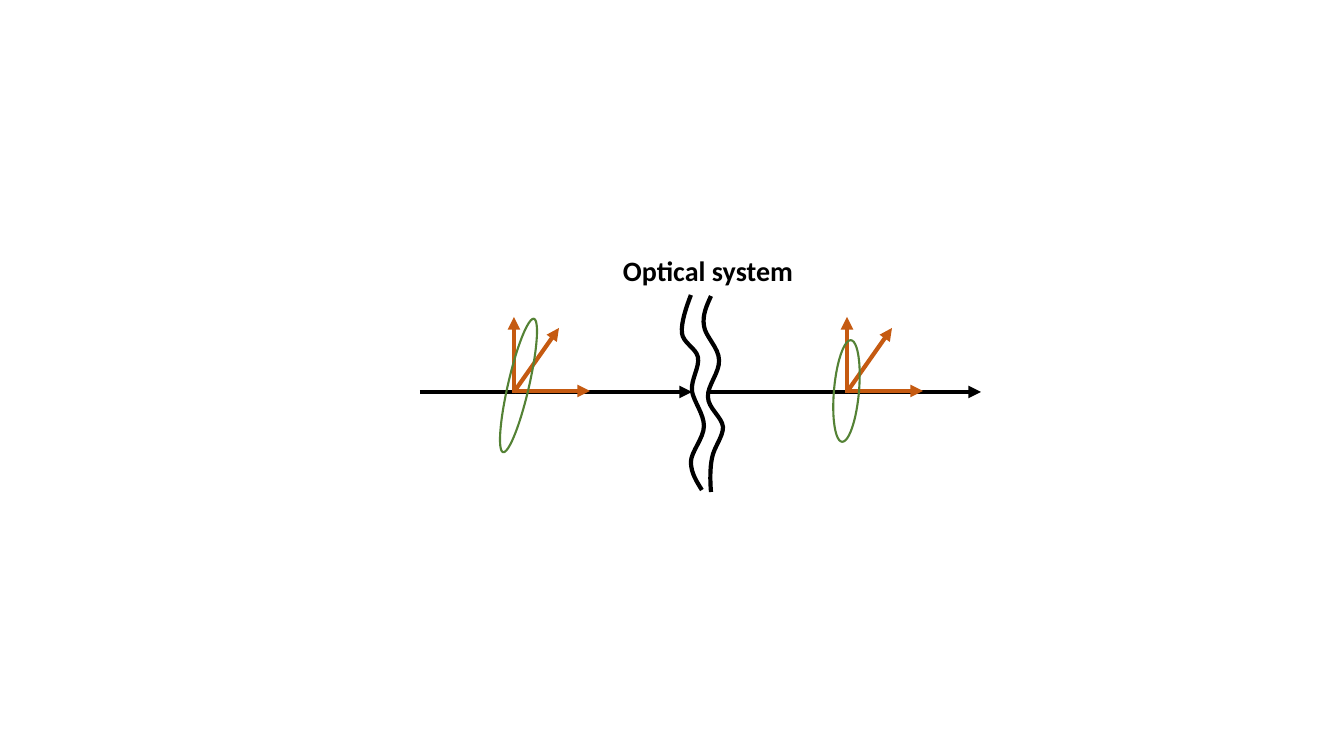
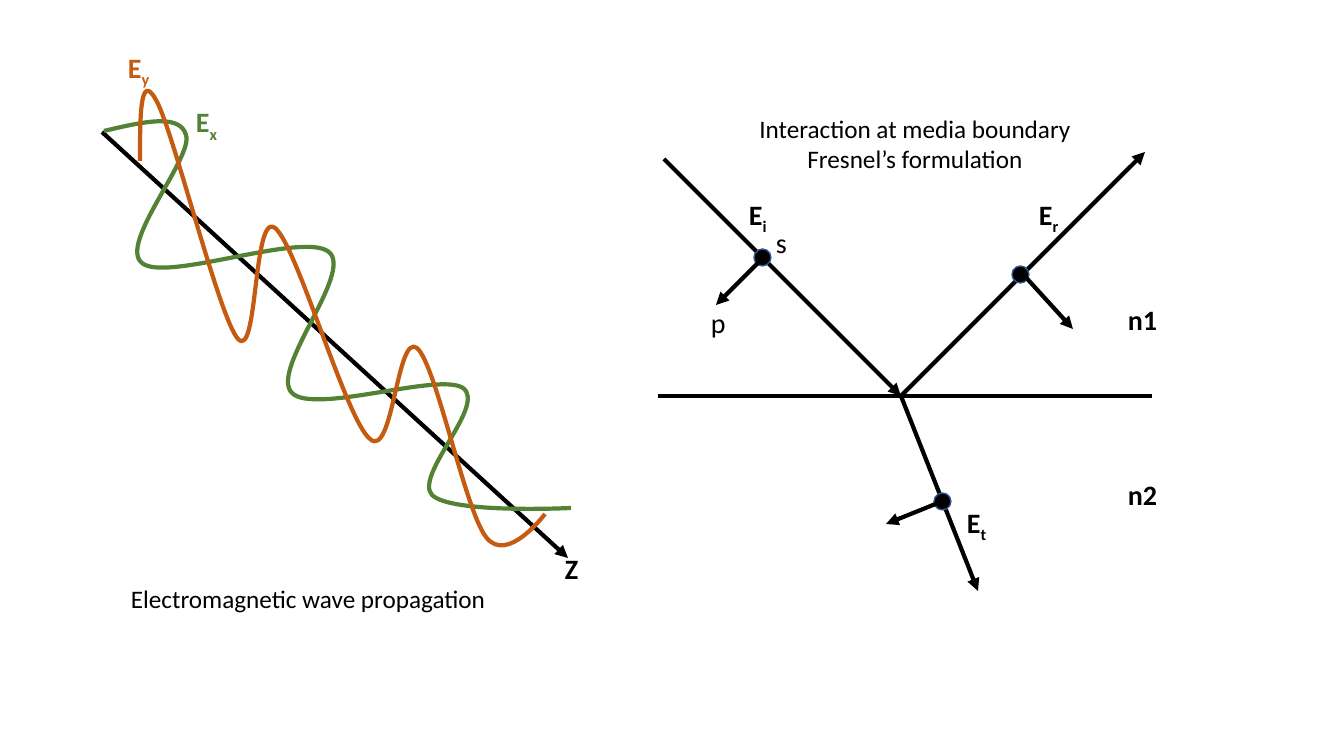
"""Build two optics slides: polarised light through a system, and waves at a boundary."""
from dataclasses import dataclass

from lxml.etree import SubElement
from pptx import Presentation
from pptx.dml.color import RGBColor
from pptx.enum.shapes import MSO_CONNECTOR as Connector, MSO_SHAPE as Shape
from pptx.enum.text import MSO_AUTO_SIZE as AutoSize, PP_ALIGN as Align
from pptx.oxml.ns import qn
from pptx.util import Emu, Pt


@dataclass(frozen=True)
class Theme:
    font: str = "Calibri"
    black: RGBColor = RGBColor(0x00, 0x00, 0x00)
    orange: RGBColor = RGBColor(0xC5, 0x5A, 0x11)
    green: RGBColor = RGBColor(0x54, 0x82, 0x35)
    dot_edge: RGBColor = RGBColor(0x32, 0x54, 0x91)
    label: int = 20
    caption: int = 18
    stroke: float = 3
    thin: float = 1.5
    hairline: float = 1


THEME = Theme()
PX = 12192000 / 1344


def px(*lengths):
    return [Emu(round(length * PX)) for length in lengths]


def draw_line(shapes, ends, colour=THEME.black, arrow=True):
    connector = shapes.add_connector(Connector.STRAIGHT, *px(*ends))
    connector.line.color.rgb = colour
    connector.line.width = Pt(THEME.stroke)
    properties = connector.element.spPr
    if arrow:
        SubElement(properties.find(qn("a:ln")), qn("a:tailEnd"), type="triangle")
    SubElement(properties, qn("a:effectLst"))


presentation = Presentation()
presentation.slide_width, presentation.slide_height = px(1344, 756)
blank = presentation.slide_layouts[6]
system_slide = presentation.slides.add_slide(blank)
wave_slide = presentation.slides.add_slide(blank)

for ends, arrow in [
    ((658, 396, 1152, 396), False),
    ((664, 159, 901, 396), True),
    ((901, 396, 1145, 152), True),
    ((901, 396, 978, 591), True),
    ((102, 132, 568, 558), True),
]:
    draw_line(wave_slide.shapes, ends, arrow=arrow)

left_break = [
    (691, 295),
    (686, 308), (681, 323), (682, 333),
    (683, 343), (696, 348), (698, 357),
    (700, 367), (691, 379), (692, 391),
    (694, 402), (704, 414), (704, 426),
    (704, 438), (691, 452), (691, 462),
    (691, 473), (697, 482), (702, 490),
]
right_break = [
    (711, 296),
    (707, 305), (702, 315), (704, 326),
    (705, 336), (719, 348), (719, 360),
    (720, 372), (707, 386), (708, 397),
    (708, 408), (722, 417), (723, 427),
    (723, 437), (714, 447), (712, 458),
    (710, 468), (710, 480), (711, 492),
]
x_wave = [
    (104, 131),
    (142, 122), (180, 113), (186, 135),
    (194, 157), (118, 244), (142, 263),
    (165, 283), (303, 231), (329, 252),
    (354, 273), (269, 370), (292, 393),
    (314, 415), (439, 372), (463, 388),
    (487, 405), (414, 475), (432, 495),
    (451, 514), (571, 508), (571, 508),
]
y_wave = [
    (140, 161),
    (140, 116), (140, 71), (156, 100),
    (173, 129), (219, 318), (238, 339),
    (258, 361), (253, 211), (275, 228),
    (297, 245), (346, 420), (370, 439),
    (393, 460), (397, 332), (417, 348),
    (436, 364), (465, 510), (486, 537),
    (507, 565), (545, 514), (545, 514),
]
for slide, points, colour in [
    (system_slide, left_break, THEME.black),
    (system_slide, right_break, THEME.black),
    (wave_slide, x_wave, THEME.green),
    (wave_slide, y_wave, THEME.orange),
]:
    anchors = points[::3]
    left = min(x for x, y in anchors)
    top = min(y for x, y in anchors)
    builder = slide.shapes.build_freeform(*anchors[0], scale=PX)
    builder.add_line_segments(anchors[1:], close=False)
    curve = builder.convert_to_shape()
    curve.shadow.inherit = False
    curve.fill.background()
    curve.line.color.rgb = colour
    curve.line.width = Pt(THEME.stroke)
    for index, segment in enumerate(curve.element.xpath(".//a:lnTo")):
        segment.tag = qn("a:cubicBezTo")
        segment.clear()
        for x, y in points[3 * index + 1:3 * index + 4]:
            SubElement(segment, qn("a:pt"), x=str(x - left), y=str(y - top))

for start in (420, 709):
    draw_line(system_slide.shapes, (start, 392, start + 272, 392))

for origin in (514, 847):
    field_axes = system_slide.shapes.add_group_shape()
    for ends in [
        (origin - 2, 391, origin + 76, 391),
        (origin, 390, origin, 317),
        (origin, 392, origin + 45, 328),
    ]:
        draw_line(field_axes.shapes, ends, THEME.orange)

for box, angle in [((508, 317, 21, 137), 13), ((834, 340, 25, 102), 5)]:
    ellipse = system_slide.shapes.add_shape(Shape.OVAL, *px(*box))
    ellipse.rotation = angle
    ellipse.shadow.inherit = False
    ellipse.fill.background()
    ellipse.line.color.rgb = THEME.green
    ellipse.line.width = Pt(THEME.thin)

for left, top, ends in [
    (754, 249, (763, 258, 716, 305)),
    (1012, 266, (1021, 272, 1073, 329)),
    (934, 493, (943, 501, 886, 524)),
]:
    dot = wave_slide.shapes.add_shape(Shape.FLOWCHART_CONNECTOR, *px(left, top, 17, 17))
    dot.shadow.inherit = False
    dot.fill.solid()
    dot.fill.fore_color.rgb = THEME.black
    dot.line.color.rgb = THEME.dot_edge
    dot.line.width = Pt(THEME.hairline)
    draw_line(wave_slide.shapes, ends)

for slide, box, text, subscript, size, bold, colour, align in [
    (system_slide, (613, 249, 213, 44), "Optical system", "", THEME.label, True, THEME.black, Align.LEFT),
    (wave_slide, (766, 221, 38, 44), "s", "", THEME.label, False, THEME.black, Align.LEFT),
    (wave_slide, (701, 301, 38, 44), "p", "", THEME.label, False, THEME.black, Align.LEFT),
    (wave_slide, (1118, 298, 54, 44), "n1", "", THEME.label, True, THEME.black, Align.LEFT),
    (wave_slide, (1118, 473, 54, 44), "n2", "", THEME.label, True, THEME.black, Align.LEFT),
    (wave_slide, (739, 193, 53, 44), "E", "i", THEME.label, True, THEME.black, Align.LEFT),
    (wave_slide, (1029, 193, 53, 44), "E", "r", THEME.label, True, THEME.black, Align.LEFT),
    (wave_slide, (957, 501, 53, 44), "E", "t", THEME.label, True, THEME.black, Align.LEFT),
    (wave_slide, (186, 100, 53, 44), "E", "x", THEME.label, True, THEME.green, Align.LEFT),
    (wave_slide, (118, 46, 53, 44), "E", "y", THEME.label, True, THEME.orange, Align.LEFT),
    (wave_slide, (555, 547, 53, 44), "Z", "", THEME.label, True, THEME.black, Align.LEFT),
    (wave_slide, (121, 578, 427, 40), "Electromagnetic wave propagation", "",
     THEME.caption, False, THEME.black, Align.LEFT),
    (wave_slide, (744, 108, 342, 72), "Interaction at media boundary Fresnel’s formulation", "",
     THEME.caption, False, THEME.black, Align.CENTER),
]:
    text_frame = slide.shapes.add_textbox(*px(*box)).text_frame
    text_frame.word_wrap = True
    text_frame.auto_size = AutoSize.SHAPE_TO_FIT_TEXT
    paragraph = text_frame.paragraphs[0]
    paragraph.alignment = align
    for part, baseline in [(text, None), (subscript, "-25000")]:
        if not part:
            continue
        run = paragraph.add_run()
        run.text = part
        run.font.name = THEME.font
        run.font.size = Pt(size)
        run.font.bold = bold
        run.font.color.rgb = colour
        if baseline:
            run.font._element.set("baseline", baseline)

presentation.save("out.pptx")
